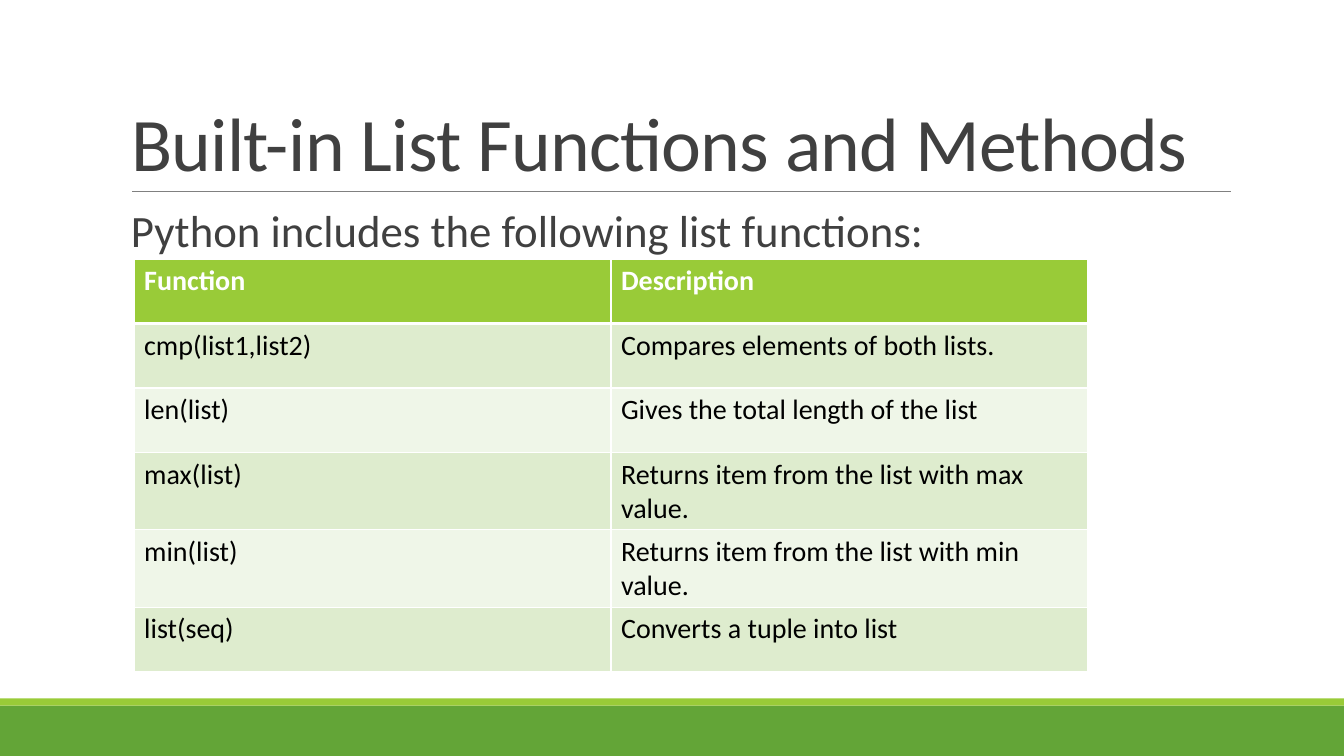
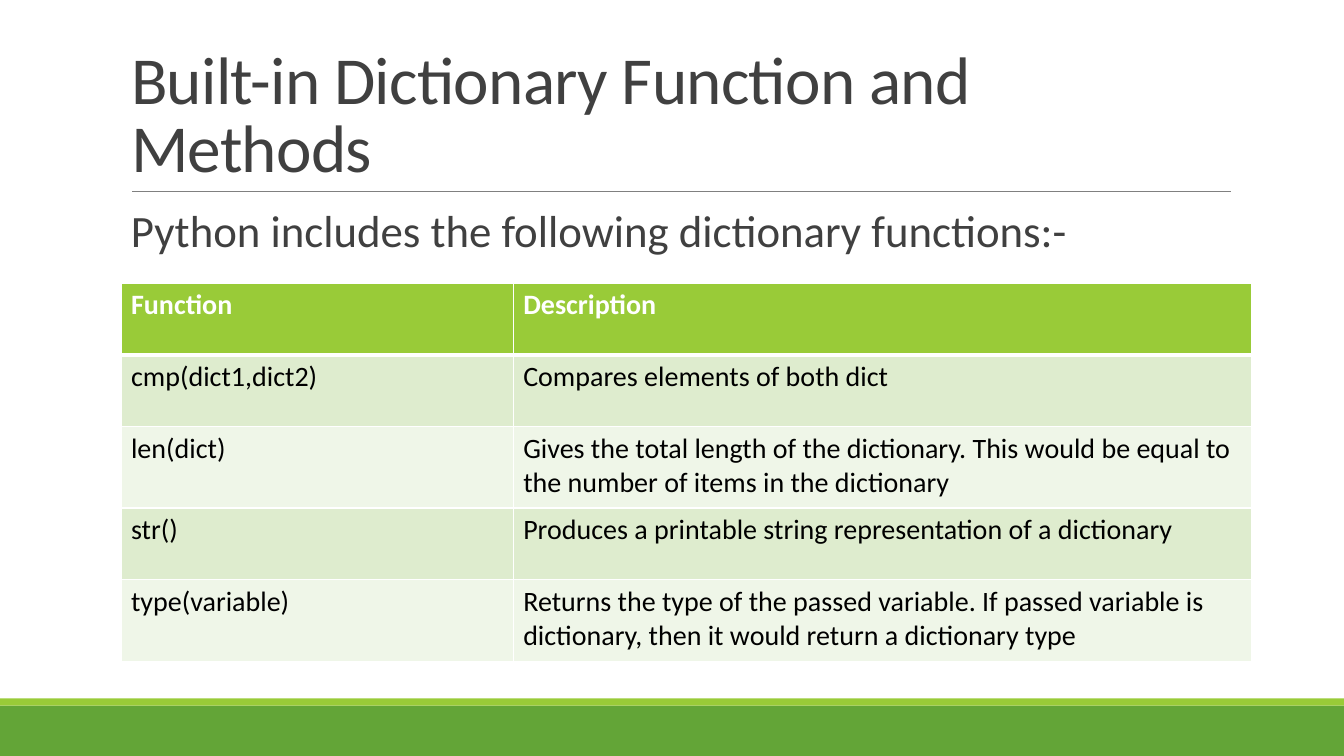
from dataclasses import dataclass

from lxml.etree import SubElement
from pptx import Presentation
from pptx.dml.color import RGBColor as Rgb
from pptx.enum.shapes import MSO_CONNECTOR as Connector, MSO_SHAPE as Shape
from pptx.enum.text import MSO_ANCHOR as Anchor, MSO_AUTO_SIZE as AutoSize, PP_ALIGN as Align
from pptx.oxml.ns import qn
from pptx.util import Inches, Pt


@dataclass(frozen=True)
class Theme:
    """Colours, font and type sizes shared by the slides."""
    font: str = "Calibri"
    ink: str = "404040"
    black: str = "000000"
    white: str = "FFFFFF"
    rule: str = "808080"
    green: str = "63A537"
    lime: str = "99CB38"
    bands: tuple = ("DEECCE", "EFF6E8")
    lead_size: int = 32
    cell_size: int = 20


THEME = Theme()
WIDTH, HEIGHT = 13.33, 7.5
TITLE_BOX = (1.2, 0.31, 11, 1.59)
LEAD_BOX = (1.2, 2.02, 11, 4.4)


def inches(box):
    """Turn a box of plain numbers into lengths."""
    return [Inches(length) for length in box]


def write(frame, text, size, color=THEME.ink, bold=False, line=1.0,
          before=0, after=0, tracking=None):
    """Put one formatted, left-aligned paragraph into a text frame."""
    frame.word_wrap = True
    paragraph = frame.paragraphs[0]
    paragraph.alignment = Align.LEFT
    paragraph.line_spacing = line
    paragraph.space_before, paragraph.space_after = Pt(before), Pt(after)
    run = paragraph.add_run()
    run.text = text
    run.font.name, run.font.size, run.font.bold = THEME.font, Pt(size), bold
    run.font.color.rgb = Rgb.from_string(color)
    if tracking is not None:
        run.font._element.set("spc", str(int(tracking * 100)))


def add_band(slide, box, color):
    """Draw a flat band across the given box."""
    band = slide.shapes.add_shape(Shape.RECTANGLE, *inches(box))
    band.shadow.inherit = False
    band.fill.solid()
    band.fill.fore_color.rgb = Rgb.from_string(color)
    band.line.fill.background()


def add_frame(slide):
    """Draw the footer bands and the rule below the title."""
    add_band(slide, (0, 7, WIDTH, HEIGHT - 7), THEME.green)
    add_band(slide, (0, 6.93, WIDTH, 0.07), THEME.lime)
    rule = slide.shapes.add_connector(Connector.STRAIGHT, *inches((1.31, 1.9, 12.21, 1.9)))
    rule.line.color.rgb = Rgb.from_string(THEME.rule)
    rule.line.width = Pt(0.5)
    SubElement(rule._element.spPr, qn("a:effectLst"))


def add_title(slide, box, text, size):
    """Place the title placeholder at the foot of its box."""
    title = slide.shapes.title
    title.left, title.top, title.width, title.height = inches(box)
    title.text_frame.auto_size = AutoSize.NONE
    title.text_frame.vertical_anchor = Anchor.BOTTOM
    write(title.text_frame, text, size, line=0.85, tracking=-0.5)


def add_lead(slide, box, text):
    """Place the sentence that introduces the table."""
    frame = slide.shapes.add_textbox(*inches(box)).text_frame
    frame.margin_right = 0
    write(frame, text, THEME.lead_size, line=0.9, before=12, after=2)


def add_borders(cell, bottom):
    """Give a cell white borders, with its own bottom width in points."""
    for side, width in (("L", 1), ("R", 1), ("T", 1), ("B", bottom)):
        border = SubElement(cell._tc.get_or_add_tcPr(), qn(f"a:ln{side}"), w=str(Pt(width)))
        paint = SubElement(border, qn("a:solidFill"))
        SubElement(paint, qn("a:srgbClr"), val=THEME.white)


def add_functions(slide, left, top, columns, heights, entries):
    """Build the table of functions under a header row."""
    rows = [("Function", "Description"), *entries]
    box = inches((left, top, sum(columns), sum(heights)))
    table = slide.shapes.add_table(len(rows), len(columns), *box).table
    for column, width in zip(table.columns, columns):
        column.width = Inches(width)
    for index, (row, height, texts) in enumerate(zip(table.rows, heights, rows)):
        row.height = Inches(height)
        header = index == 0
        fill = THEME.lime if header else THEME.bands[(index - 1) % 2]
        for cell, text in zip(row.cells, texts):
            add_borders(cell, bottom=3 if header else 1)
            cell.fill.solid()
            cell.fill.fore_color.rgb = Rgb.from_string(fill)
            write(cell.text_frame, text, THEME.cell_size, bold=header,
                  color=THEME.white if header else THEME.black)


def add_function_slide(deck, title, title_size, lead, **functions):
    """Add a slide with a title, a lead sentence and a function table."""
    slide = deck.slides.add_slide(deck.slide_layouts[5])
    add_frame(slide)
    add_title(slide, TITLE_BOX, title, title_size)
    add_lead(slide, LEAD_BOX, lead)
    add_functions(slide, **functions)


def main():
    """Build and save the deck."""
    deck = Presentation()
    deck.slide_width, deck.slide_height = Inches(WIDTH), Inches(HEIGHT)
    add_function_slide(
        deck, "Built-in List Functions and Methods", 54,
        "Python includes the following list functions:",
        left=1.33, top=2.57, columns=(4.73, 4.73), heights=(0.64,) * 6,
        entries=[
            ("cmp(list1,list2)", "Compares elements of both lists."),
            ("len(list)", "Gives the total length of the list"),
            ("max(list)", "Returns item from the list with max value."),
            ("min(list)", "Returns item from the list with min value."),
            ("list(seq)", "Converts a tuple into list"),
        ])
    add_function_slide(
        deck, "Built-in Dictionary Function and Methods", 48,
        "Python includes the following dictionary functions:-",
        left=1.2, top=2.81, columns=(3.89, 7.32), heights=(0.71, 0.71, 0.81, 0.71, 0.81),
        entries=[
            ("cmp(dict1,dict2)", "Compares elements of both dict"),
            ("len(dict)", "Gives the total length of the dictionary. This would be "
                          "equal to the number of items in the dictionary"),
            ("str()", "Produces a printable string representation of a dictionary"),
            ("type(variable)", "Returns the type of the passed variable. If passed variable "
                               "is dictionary, then it would return a dictionary type"),
        ])
    deck.save("out.pptx")


main()
